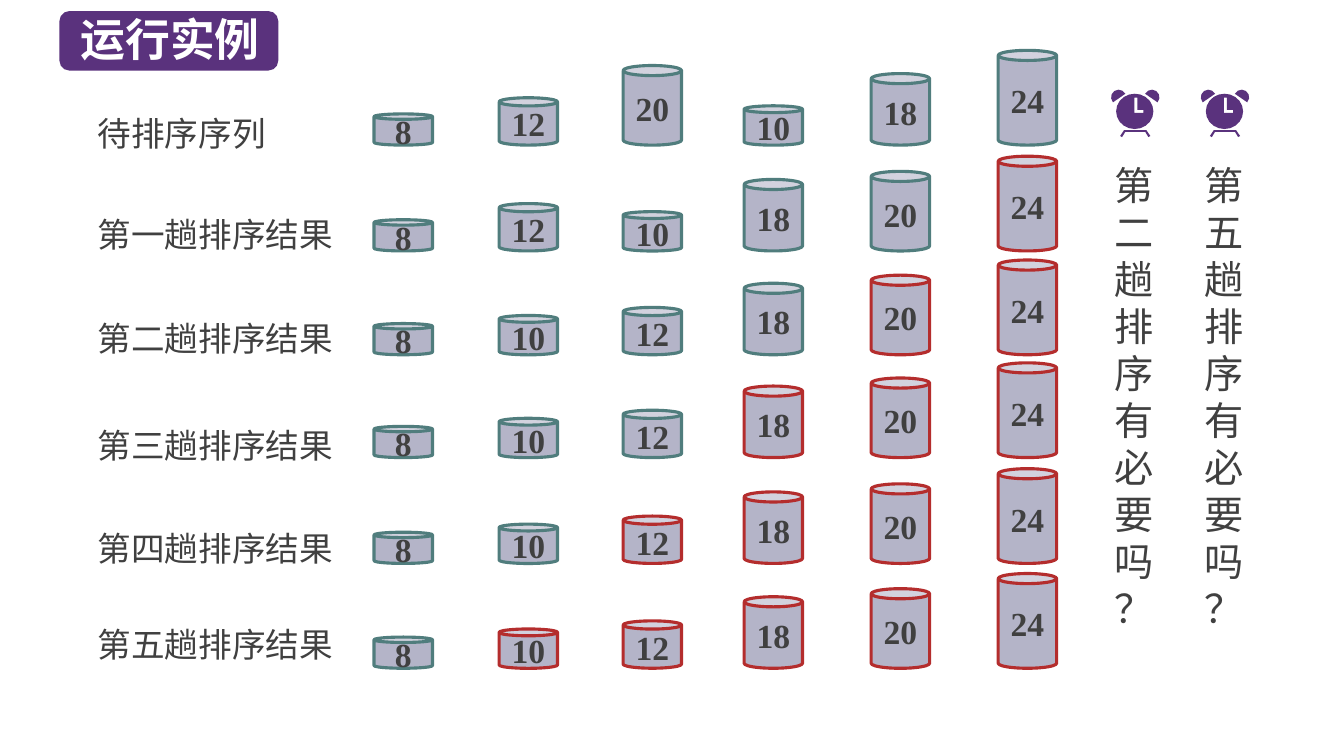
from dataclasses import dataclass
from math import cos, radians, sin

from lxml.etree import SubElement
from pptx import Presentation
from pptx.dml.color import RGBColor
from pptx.enum.shapes import MSO_SHAPE
from pptx.enum.text import MSO_ANCHOR, PP_ALIGN
from pptx.oxml.ns import qn
from pptx.util import Pt


@dataclass(frozen=True)
class Theme:
    """Colours, fonts and type sizes of the slide."""

    purple: str = "5A327D"
    white: str = "FFFFFF"
    ink: str = "404040"
    can: str = "B4B4C8"
    moving: str = "507D7D"
    settled: str = "B42D2D"
    chinese: str = "Noto Sans CJK SC"
    digits: str = "Times New Roman"
    title: int = 32
    body: int = 24
    question: int = 28


def arc(center_x, center_y, radius_x, radius_y, start, end, steps):
    """Evenly spaced points along an elliptical arc."""
    angles = [radians(start + (end - start) * step / steps) for step in range(steps + 1)]
    return [(center_x + radius_x * cos(angle), center_y + radius_y * sin(angle)) for angle in angles]


def bubble_passes(values):
    """The starting sequence followed by the result of every bubble pass."""
    passes = [list(values)]
    for last in range(len(values) - 1, 0, -1):
        row = list(passes[-1])
        for index in range(last):
            if row[index] > row[index + 1]:
                row[index], row[index + 1] = row[index + 1], row[index]
        passes.append(row)
    return passes


class SortingSlide:
    """Draws the elements of the sorting slide in hundredths of an inch."""

    SCALE = 9144

    def __init__(self, deck, theme):
        """Add a blank page to the deck."""
        self.theme = theme
        self.page = deck.slides.add_slide(deck.slide_layouts[6])

    def px(self, *lengths):
        """Turn px lengths into EMU."""
        return [round(length * self.SCALE) for length in lengths]

    def paint(self, shape, fill, line=None):
        """Give a shape a flat fill and an optional outline."""
        shape.shadow.inherit = False
        shape.fill.solid()
        shape.fill.fore_color.rgb = RGBColor.from_string(fill)
        if line:
            shape.line.color.rgb = RGBColor.from_string(line)
            shape.line.width = Pt(2.25)
        else:
            shape.line.fill.background()

    def style(self, para, name, size, color, bold):
        """Set the font of a whole paragraph."""
        font = para.font
        font.name, font.size, font.bold = name, Pt(size), bold
        font.color.rgb = RGBColor.from_string(color)
        SubElement(font._rPr, qn("a:ea")).set("typeface", name)

    def text(self, lines, bounds, size, color=None, bold=False, parent=None):
        """Add a text box with one paragraph per line."""
        box = (parent or self.page).shapes.add_textbox(*self.px(*bounds))
        frame = box.text_frame
        frame.word_wrap = True
        frame.text = "\n".join(lines)
        for para in frame.paragraphs:
            para.line_spacing = Pt(size * 1.2)
            self.style(para, self.theme.chinese, size, color or self.theme.ink, bold)

    def title(self, words):
        """Add the title on its rounded plate."""
        plate = self.page.shapes.add_shape(
            MSO_SHAPE.ROUNDED_RECTANGLE, *self.px(59, 11, 217, 59)
        )
        self.paint(plate, self.theme.purple)
        self.text([words], (70, 7, 210, 64), self.theme.title, self.theme.white, True)

    def can(self, value, left, bottom, settled):
        """Add a can whose height follows its value."""
        height = round(value * 3.93)
        can = self.page.shapes.add_shape(
            MSO_SHAPE.CAN, *self.px(left, bottom - height, 58, height)
        )
        can.adjustments[0] = 0.173
        self.paint(can, self.theme.can, self.theme.settled if settled else self.theme.moving)
        frame = can.text_frame
        frame.word_wrap = False
        frame.vertical_anchor = MSO_ANCHOR.MIDDLE
        frame.text = str(value)
        para = frame.paragraphs[0]
        para.alignment = PP_ALIGN.CENTER
        self.style(para, self.theme.digits, self.theme.body, self.theme.ink, True)

    def outline(self, parent, left, top, *contours):
        """Add one filled freeform made of closed contours."""
        first, *others = [[self.px(left + x, top + y) for x, y in contour] for contour in contours]
        builder = parent.shapes.build_freeform(*first[0], scale=1.0)
        builder.add_line_segments(first[1:], close=True)
        for contour in others:
            builder.move_to(*contour[0])
            builder.add_line_segments(contour[1:], close=True)
        self.paint(builder.convert_to_shape(), self.theme.purple)

    def question(self, words, left):
        """Add an alarm clock above a column of characters."""
        group = self.page.shapes.add_group_shape()
        feet = [(9, 46), (13, 40), (35, 40), (39, 46), (37, 47), (34, 42), (14, 42), (11, 47)]
        ear = arc(7.5, 7.5, 7.5, 7.5, 138, 333, 6)
        face = arc(23.5, 21.5, 18.5, 17.5, 0, 342, 19)
        hands = [(23, 8), (26, 8), (26, 20), (32, 20), (32, 23), (23, 23)]
        for contours in ([feet], [ear], [[(48 - x, y) for x, y in ear]], [face, hands]):
            self.outline(group, left + 6, 89, *contours)
        lines = [words[0], words[1:-1], words[-1]]
        self.text(lines, (left, 155, 60, 481), self.theme.question, parent=group)


def main():
    """Build the deck and save it."""
    deck = Presentation()
    deck.slide_width, deck.slide_height = 1333 * SortingSlide.SCALE, 750 * SortingSlide.SCALE
    theme = Theme()
    slide = SortingSlide(deck, theme)
    slide.title("运行实例")

    columns = (371, 495, 618, 738, 864, 990)
    rows = (
        ("待排序序列", 107, 203, 144),
        ("第一趟排序结果", 207, 275, 249),
        ("第二趟排序结果", 310, 275, 352),
        ("第三趟排序结果", 417, 293, 454),
        ("第四趟排序结果", 519, 293, 559),
        ("第五趟排序结果", 614, 293, 663),
    )
    passes = bubble_passes((8, 12, 20, 10, 18, 24))
    for done, ((label, top, width, bottom), values) in enumerate(zip(rows, passes)):
        slide.text([label], (87, top, width, 50), theme.body)
        for index, (value, left) in enumerate(zip(values, columns)):
            slide.can(value, left, bottom, index >= len(values) - done)

    for words, left in (("第二趟排序有必要吗？", 1096), ("第五趟排序有必要吗？", 1185)):
        slide.question(words, left)
    deck.save("out.pptx")


if __name__ == "__main__":
    main()
